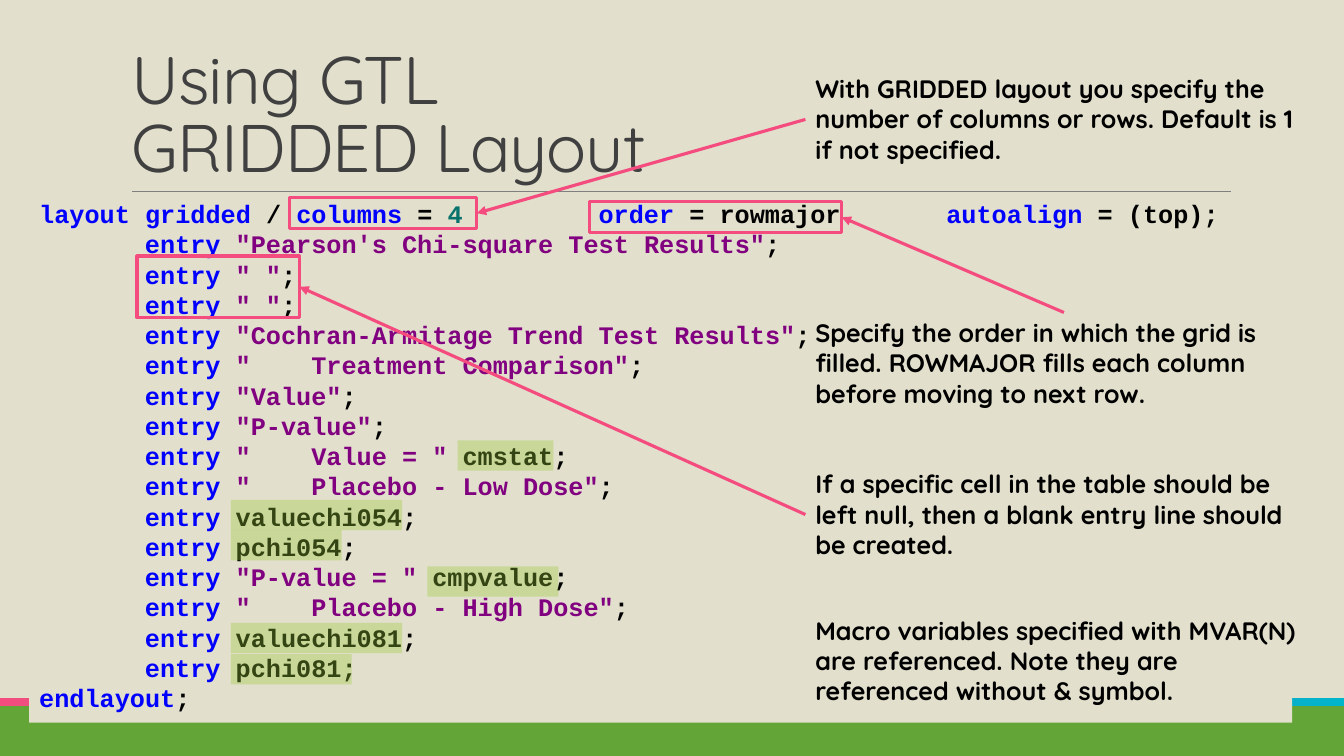
"""Build a slide that explains a gridded layout with annotated code."""
import dataclasses
import typing

import lxml.etree
import pptx
import pptx.dml.color
import pptx.enum.dml
import pptx.enum.shapes
import pptx.enum.text
import pptx.oxml.ns
import pptx.util


@dataclasses.dataclass(frozen=True)
class Theme:
    """Hold the colours, fonts and sizes."""
    back: str = "E2DFCC"
    green: str = "63A537"
    lime: str = "99CB38"
    pink: str = "F44C7E"
    cyan: str = "00B4CC"
    rule: str = "808080"
    title: str = "404040"
    ink: str = "000000"
    key: str = "0000FF"
    text: str = "800080"
    num: str = "08726D"
    sans: str = "Quicksand"
    mono: str = "Courier New"
    big: int = 48
    body: int = 18
    thin: float = 0.5
    thick: float = 2.25
    clear: int = 34


@dataclasses.dataclass(frozen=True)
class Box:
    """Hold a place in grid columns and rows."""
    x: float
    y: float
    w: float
    h: float


@dataclasses.dataclass(frozen=True)
class Note:
    """Hold a note, the frame it points at and the side it starts from."""
    row: float
    text: str
    frame: typing.Optional[Box] = None
    top: bool = False


class Token(typing.NamedTuple):
    """Hold a piece of code and its colour."""
    text: str
    tint: str


LOOK = Theme()
COLS, ROWS = 133.33, 75
WIDE, HIGH = pptx.util.Inches(13.33), pptx.util.Inches(7.5)
CHAR = 1.5
CODE = Box(2.9, 19.2, 125.3, 52.5)
NOTE_X, NOTE_W, NOTE_H = 79.9, 51.3, 10.1
STOPS = (37, 60)
INDENT = 7

HEAD = [
    Token("layout gridded", LOOK.key), Token(" / ", LOOK.ink),
    Token("columns", LOOK.key), Token(" = ", LOOK.ink), Token("4\t", LOOK.num),
    Token("order", LOOK.key), Token(" = rowmajor\t", LOOK.ink),
    Token("autoalign", LOOK.key), Token(" = (top);", LOOK.ink),
]
FOOT = [Token("endlayout", LOOK.key), Token(";", LOOK.ink)]
ENTRIES = [
    ('"Pearson\'s Chi-square Test Results"', ";"),
    ('" "', ";"),
    ('" "', ";"),
    ('"Cochran-Armitage Trend Test Results"', ";"),
    ('"    Treatment Comparison"', ";"),
    ('"Value"', ";"),
    ('"P-value"', ";"),
    ('"    Value = "', " cmstat;"),
    ('"    Placebo - Low Dose"', ";"),
    ("", "valuechi054;"),
    ("", "pchi054;"),
    ('"P-value = "', " cmpvalue;"),
    ('"    Placebo - High Dose"', ";"),
    ("", "valuechi081;"),
    ("", "pchi081;"),
]
MARKS = [
    Box(45.4, 43.7, 9.5, 3), Box(22.9, 49.6, 17, 3), Box(22.9, 52.6, 11, 3),
    Box(42.4, 56.2, 13, 3), Box(22.9, 61.8, 17, 3), Box(22.9, 64.9, 12, 3),
]
NOTES = [
    Note(6.8, "With GRIDDED layout you specify the number of columns or rows. "
         "Default is 1 if not specified.", Box(28.7, 19.6, 18.6, 3.1)),
    Note(31, "Specify the order in which the grid is filled. ROWMAJOR fills "
         "each column before moving to next row.",
         Box(58.5, 20, 25, 3.1), True),
    Note(46, "If a specific cell in the table should be left null, then a "
         "blank entry line should be created.", Box(13.6, 25.4, 16.1, 6.1)),
    Note(60.5, "Macro variables specified with MVAR(N) are referenced. "
         "Note they are referenced without & symbol."),
]


def rgb(tint: str) -> pptx.dml.color.RGBColor:
    """Turn a hex string into a colour."""
    return pptx.dml.color.RGBColor.from_string(tint)


def across(cols: float) -> int:
    """Turn columns into a length."""
    return round(WIDE * cols / COLS)


def down(rows: float) -> int:
    """Turn rows into a length."""
    return round(HIGH * rows / ROWS)


def place(box: Box) -> tuple[int, int, int, int]:
    """Give left, top, width and height of a box."""
    return across(box.x), down(box.y), across(box.w), down(box.h)


def child(node, tag: str, **attrs: str):
    """Append an XML child and return it."""
    return lxml.etree.SubElement(node, pptx.oxml.ns.qn(tag), **attrs)


def style(font, face: str, size: int, tint: str, bold: bool) -> None:
    """Set face, size, colour and weight of a font."""
    font.name, font.size, font.bold = face, pptx.util.Pt(size), bold
    font.color.rgb = rgb(tint)


def block(slide, box: Box, fill: str = "", edge: str = ""):
    """Draw a rectangle with an optional fill and edge."""
    shape = slide.shapes.add_shape(
        pptx.enum.shapes.MSO_SHAPE.RECTANGLE, *place(box))
    shape.shadow.inherit = False
    if fill:
        shape.fill.solid()
        shape.fill.fore_color.rgb = rgb(fill)
    else:
        shape.fill.background()
    if edge:
        shape.line.color.rgb = rgb(edge)
        shape.line.width = pptx.util.Pt(LOOK.thick)
    else:
        shape.line.fill.background()
    return shape


def line(slide, start: tuple[float, float], end: tuple[float, float],
         tint: str, width: float, arrow: bool = False) -> None:
    """Draw a straight line, with an arrowhead if asked."""
    link = slide.shapes.add_connector(
        pptx.enum.shapes.MSO_CONNECTOR.STRAIGHT,
        across(start[0]), down(start[1]), across(end[0]), down(end[1]))
    link.line.color.rgb = rgb(tint)
    link.line.width = pptx.util.Pt(width)
    props = link._element.spPr
    if arrow:
        child(props.find(pptx.oxml.ns.qn("a:ln")), "a:tailEnd", type="triangle")
    child(props, "a:effectLst")


def base(slide) -> None:
    """Draw the background, the bottom bands and the title rule."""
    slide.background.fill.solid()
    slide.background.fill.fore_color.rgb = rgb(LOOK.back)
    block(slide, Box(0, 70, COLS, 5), LOOK.green)
    band = block(slide, Box(0, 69.3, COLS, 0.7))
    band.fill.gradient()
    band.fill.gradient_angle = 0
    for stop, tint in zip(band.fill.gradient_stops, (LOOK.pink, LOOK.cyan)):
        stop.color.rgb = rgb(tint)
    line(slide, (13.1, 19), (122.1, 19), LOOK.rule, LOOK.thin)


def head(slide) -> None:
    """Fill, move and format the title."""
    title = slide.shapes.title
    title.left, title.top, title.width, title.height = place(
        Box(12, 3.1, 110, 15.9))
    frame = title.text_frame
    frame.text = "Using GTL\vGRIDDED Layout"
    frame.auto_size = pptx.enum.text.MSO_AUTO_SIZE.NONE
    frame.vertical_anchor = pptx.enum.text.MSO_ANCHOR.BOTTOM
    para = frame.paragraphs[0]
    para.alignment = pptx.enum.text.PP_ALIGN.LEFT
    para.line_spacing = 0.85
    for run in para.runs:
        style(run.font, LOOK.sans, LOOK.big, LOOK.title, False)
        run._r.get_or_add_rPr().set("spc", "-50")


def code(slide) -> None:
    """Write the coloured code listing."""
    frame = block(slide, CODE, LOOK.back).text_frame
    frame.word_wrap = True
    frame.vertical_anchor = pptx.enum.text.MSO_ANCHOR.TOP
    body = [[Token("entry ", LOOK.key), Token(text, LOOK.text),
             Token(tail, LOOK.ink)] for text, tail in ENTRIES]
    for row, tokens in enumerate([HEAD, *body, FOOT]):
        para = frame.add_paragraph() if row else frame.paragraphs[0]
        para.alignment = pptx.enum.text.PP_ALIGN.LEFT
        props = para._p.get_or_add_pPr()
        if tokens is HEAD:
            tabs = child(props, "a:tabLst")
            for stop in STOPS:
                child(tabs, "a:tab", pos=str(across(stop * CHAR)), algn="l")
        elif tokens is not FOOT:
            props.set("marL", str(across(INDENT * CHAR)))
        for token in filter(lambda item: item.text, tokens):
            run = para.add_run()
            run.text = token.text
            style(run.font, LOOK.mono, LOOK.body, token.tint, True)


def mark(slide, box: Box) -> None:
    """Lay a clear highlight over a macro variable."""
    shape = block(slide, box, LOOK.lime)
    tint = shape._element.spPr.find(".//" + pptx.oxml.ns.qn("a:srgbClr"))
    child(tint, "a:alpha", val=str(LOOK.clear * 1000))


def note(slide, item: Note) -> None:
    """Write a note and point it at its frame."""
    box = Box(NOTE_X, item.row, NOTE_W, NOTE_H)
    frame = slide.shapes.add_textbox(*place(box)).text_frame
    frame.word_wrap = True
    frame.text = item.text
    style(frame.paragraphs[0].runs[0].font,
          LOOK.sans, LOOK.body, LOOK.ink, True)
    if item.frame:
        goal = item.frame
        block(slide, goal, edge=LOOK.pink)
        start = ((box.x + box.w / 2, box.y) if item.top
                 else (box.x, box.y + box.h / 2))
        line(slide, start, (goal.x + goal.w, goal.y + goal.h / 2),
             LOOK.pink, LOOK.thick, True)


def main() -> None:
    """Build and save the slide."""
    deck = pptx.Presentation()
    deck.slide_width, deck.slide_height = WIDE, HIGH
    slide = deck.slides.add_slide(deck.slide_layouts[5])
    base(slide)
    head(slide)
    code(slide)
    for box in MARKS:
        mark(slide, box)
    for item in NOTES:
        note(slide, item)
    deck.save("out.pptx")


if __name__ == "__main__":
    main()
